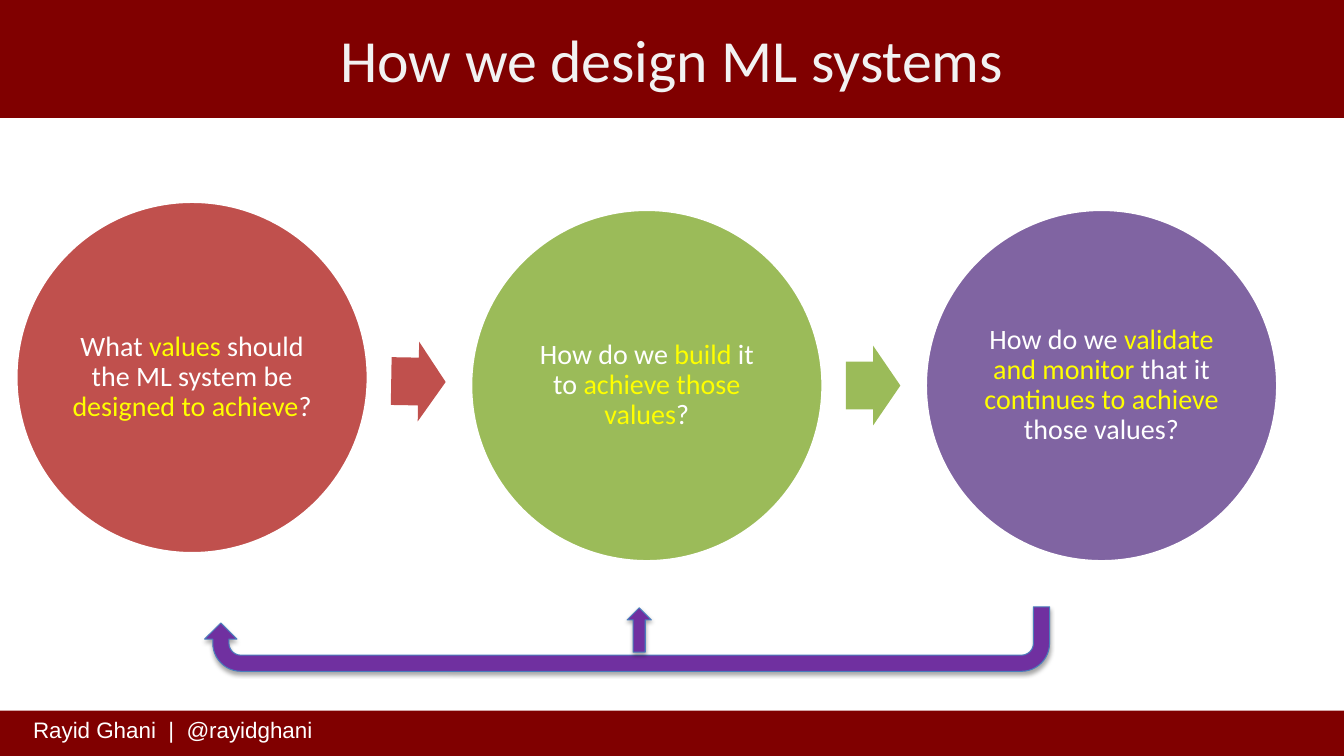
"""Build the slide on how ML systems are designed."""
from lxml.etree import SubElement
from pptx import Presentation
from pptx.dml.color import RGBColor
from pptx.enum.shapes import MSO_SHAPE as SHAPE
from pptx.enum.text import MSO_ANCHOR as ANCHOR, MSO_AUTO_SIZE as AUTO, PP_ALIGN as ALIGN
from pptx.oxml.ns import qn
from pptx.util import Inches, Pt

MAROON, PURPLE, EDGE = "800000", "7030A0", "4B7EBC"
WHITE, YELLOW, TITLE = "FFFFFF", "FFFF00", "F2F2F2"


def rgb(value):
    """Turn a hex string into a colour."""
    return RGBColor.from_string(value)


def apply(obj, **values):
    """Set each named attribute on the object."""
    for name, value in values.items():
        setattr(obj, name, value)


class Deck:
    """Hold the style and the current slide."""

    heading = "Calibri"
    label = "Arial"
    inset = Inches(0.03)

    def __init__(self, width, height):
        """Start a presentation with one title slide."""
        self.prs = Presentation()
        apply(self.prs, slide_width=Inches(width), slide_height=Inches(height))
        self.s = self.prs.slides.add_slide(self.prs.slide_layouts[5])

    def add_runs(self, p, runs, size, font):
        """Add coloured runs to a paragraph."""
        for text, color in runs:
            r = p.add_run()
            r.text = text
            apply(r.font, size=Pt(size), name=font)
            r.font.color.rgb = rgb(color)

    def title(self, text, box):
        """Place the title in a filled band."""
        sp = self.s.shapes.title
        apply(sp, **dict(zip(("left", "top", "width", "height"), map(Inches, box))))
        sp.fill.solid()
        sp.fill.fore_color.rgb = rgb(MAROON)
        tf = sp.text_frame
        apply(tf, vertical_anchor=ANCHOR.MIDDLE, auto_size=AUTO.NONE, word_wrap=True)
        p = tf.paragraphs[0]
        p.alignment = ALIGN.CENTER
        self.add_runs(p, [(text, TITLE)], 42.7, self.heading)

    def shape(self, kind, box, fill, line=None, width=0.75, rotation=0):
        """Add a filled preset shape."""
        sp = self.s.shapes.add_shape(kind, *map(Inches, box))
        sp.shadow.inherit = False
        sp.rotation = rotation
        sp.fill.solid()
        sp.fill.fore_color.rgb = rgb(fill)
        if line:
            sp.line.color.rgb = rgb(line)
            sp.line.width = Pt(width)
        else:
            sp.line.fill.background()
        return sp

    def circle(self, box, fill, runs):
        """Add a circle holding a question."""
        sp = self.shape(SHAPE.OVAL, box, fill, WHITE, 2)
        tf = sp.text_frame
        sides = ("margin_left", "margin_top", "margin_right", "margin_bottom")
        apply(tf, word_wrap=True, vertical_anchor=ANCHOR.MIDDLE, **dict.fromkeys(sides, self.inset))
        p = tf.paragraphs[0]
        apply(p, alignment=ALIGN.CENTER, line_spacing=0.9)
        self.add_runs(p, runs, 20, self.heading)

    def step_arrow(self, box, fill, rotation):
        """Add an arrow between two circles."""
        sp = self.shape(SHAPE.RIGHT_ARROW, box, fill, rotation=rotation)
        sp.adjustments[0], sp.adjustments[1] = 0.6, 0.5

    def feedback_arrow(self, kind, box, rotation=0):
        """Add a purple arrow with a soft shadow."""
        sp = self.shape(kind, box, PURPLE, EDGE, rotation=rotation)
        effects = sp.element.spPr.find(qn("a:effectLst"))
        shadow = SubElement(effects, qn("a:outerShdw"), blurRad=str(Pt(3.1)),
                            dist=str(Pt(1.8)), dir="5400000", rotWithShape="0")
        color = SubElement(shadow, qn("a:srgbClr"), val="000000")
        SubElement(color, qn("a:alpha"), val="35000")

    def text(self, text, box):
        """Add a label in a text box."""
        tf = self.s.shapes.add_textbox(*map(Inches, box)).text_frame
        apply(tf, word_wrap=True, auto_size=AUTO.SHAPE_TO_FIT_TEXT)
        self.add_runs(tf.paragraphs[0], [(text, WHITE)], 16, self.label)


def main():
    """Draw the slide and save it."""
    deck = Deck(13.33, 7.5)
    deck.shape(SHAPE.RECTANGLE, (0, 7.05, 13.33, 0.45), MAROON)
    deck.text("Rayid Ghani  |  @rayidghani", (0.23, 7.06, 3.04, 0.37))
    deck.title("How we design ML systems", (0, 0, 13.33, 1.17))

    questions = [
        ("C0504D", 2, ["What ", "values", " should the ML system be ", "designed to achieve", "?"]),
        ("9BBB59", 2.08, ["How do we ", "build", " it to ", "achieve those values", "?"]),
        ("8064A2", 2.08, ["How do we ", "validate and monitor ", "that it ",
                          "continues to achieve ", "those values?"]),
    ]
    pitch, size = 4.51, 3.49
    for i, (fill, top, parts) in enumerate(questions):
        runs = [(part, YELLOW if n % 2 else WHITE) for n, part in enumerate(parts)]
        deck.circle((0.16 + i * pitch, top, size, size), fill, runs)
    for i, (top, rotation) in enumerate([(3.39, 1), (3.43, 0)]):
        deck.step_arrow((3.88 + i * pitch, top, 0.54, 0.79), questions[i][0], rotation)

    deck.feedback_arrow(SHAPE.U_TURN_ARROW, (2.03, 6.02, 8.38, 0.64), 180)
    deck.feedback_arrow(SHAPE.UP_ARROW, (6.22, 6.03, 0.24, 0.44))
    deck.prs.save("out.pptx")


if __name__ == "__main__":
    main()
